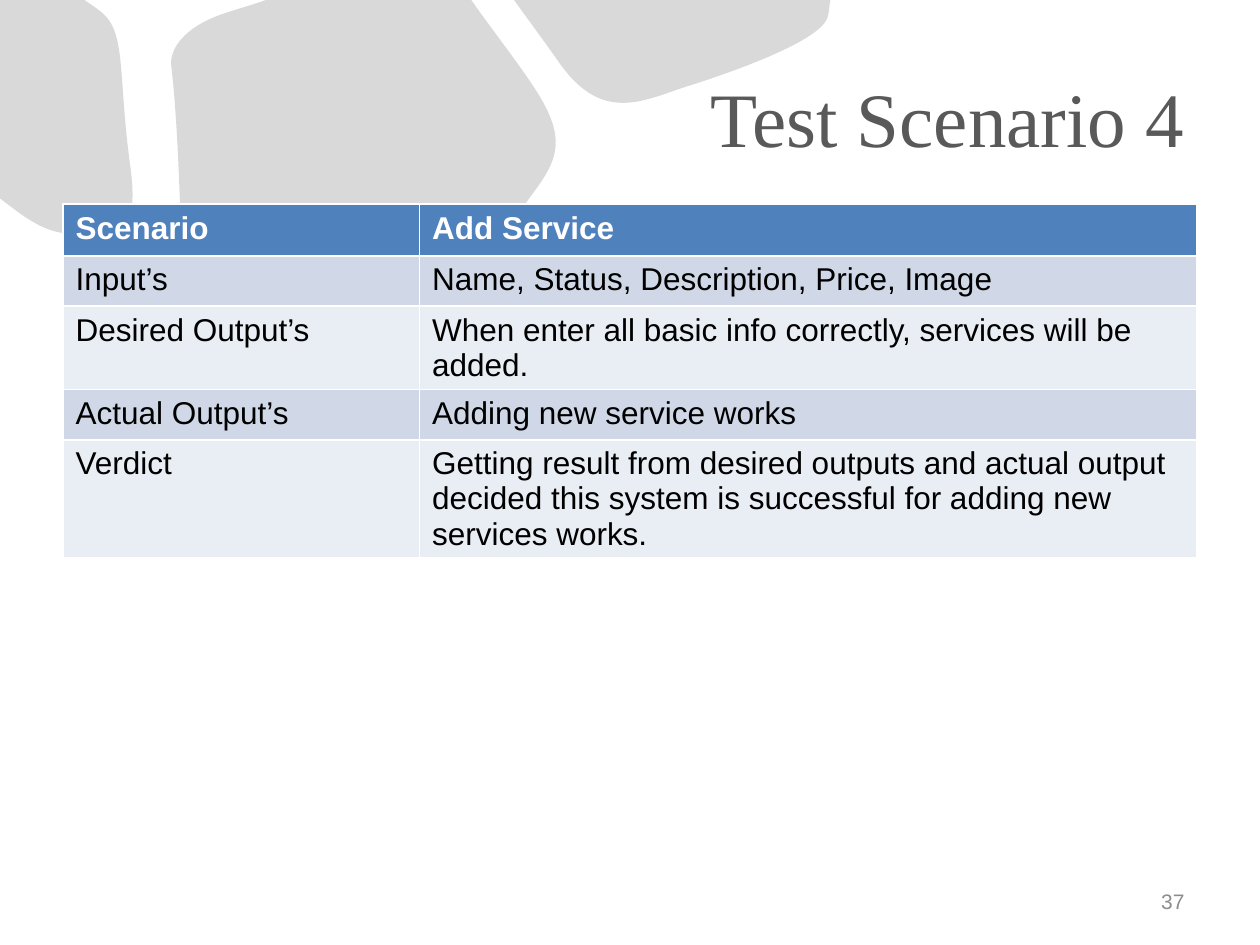
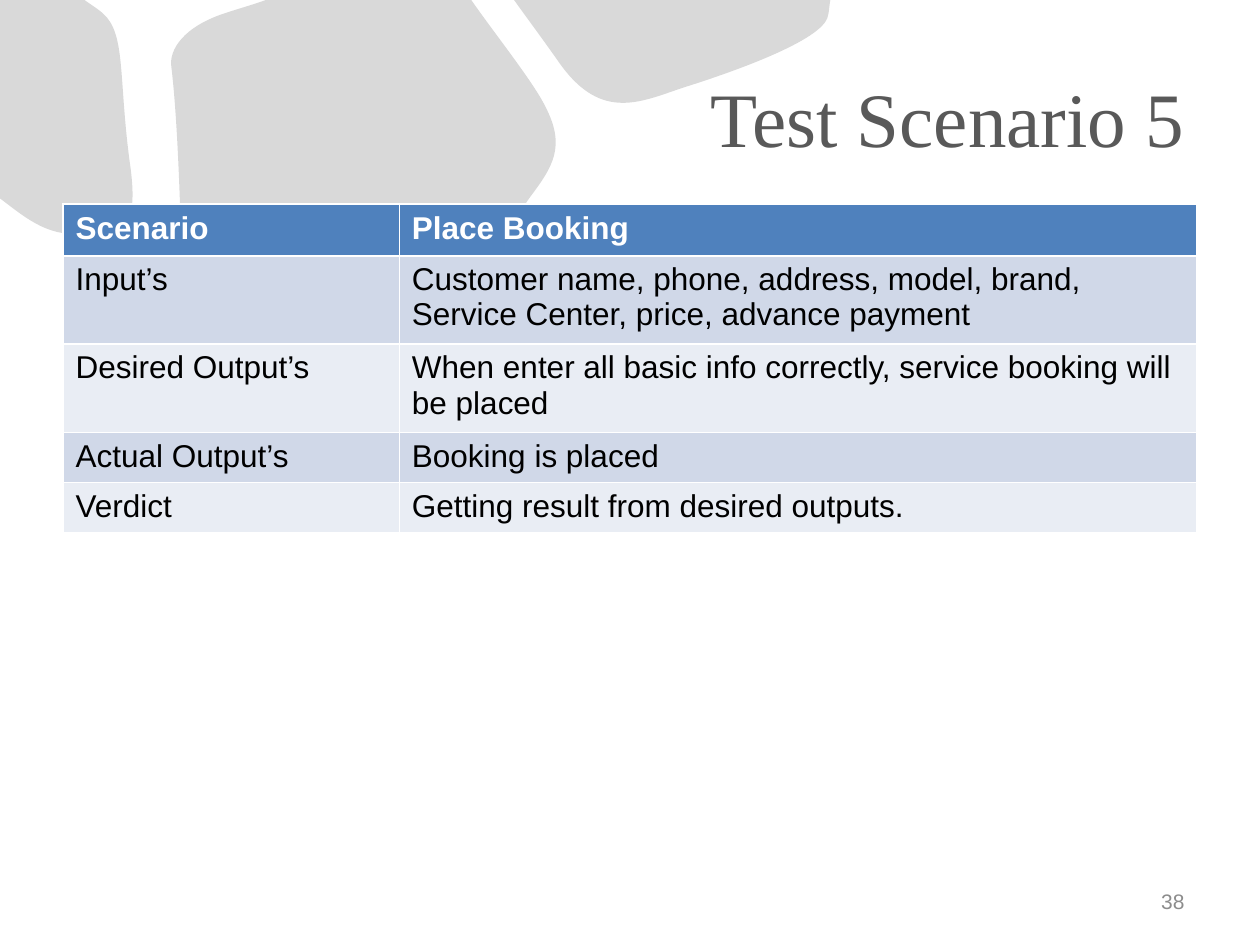
from lxml.etree import SubElement
from pptx import Presentation
from pptx.dml.color import RGBColor
from pptx.enum.text import MSO_ANCHOR, PP_ALIGN
from pptx.oxml.ns import qn
from pptx.util import Emu, Pt

PX = 9144  # EMU in one px, 100 px to the inch

# Pebbles: a start point, then lines (x, y) and curves (x1, y1, x2, y2, x, y)
PEBBLES = [
    [(408, 0), (418, 14, 430, 30, 444, 50), (478, 98, 510, 80, 544, 69),
     (582, 57, 653, 32, 657, 13), (658, 10, 658, 6, 659, 0)],
    [(82, 11), (79, 8, 74, 5, 67, 0), (-2, 0), (-2, 156),
     (17, 170, 37, 189, 65, 185), (87, 182, 113, 197, 103, 129),
     (94, 62, 100, 27, 82, 11)],
    [(374, 0), (211, 0), (200, 4, 189, 7, 180, 10),
     (145, 21, 134, 40, 136, 53), (140, 86, 142, 137, 143, 166),
     (144, 191, 165, 201, 185, 211), (202, 220, 278, 254, 296, 262),
     (296, 262, 334, 285, 355, 254), (377, 222, 402, 183, 421, 156),
     (439, 132, 449, 116, 433, 85), (424, 66, 392, 26, 374, 0)],
]

ROW_LABELS = ["Scenario", "Input’s", "Desired Output’s", "Actual Output’s", "Verdict"]

# Row heights for a header and for one, two and three lines of text
HEADER_ROW, ONE, TWO, THREE = 41, 40, 66, 94

# Title, page number, width of the label column, values with row heights
SCENARIOS = [
    ("Test Scenario 4", "37", 283, [
        ("Add Service", HEADER_ROW),
        ("Name, Status, Description, Price, Image", ONE),
        ("When enter all basic info correctly, services will be added.", TWO),
        ("Adding new service works", ONE),
        ("Getting result from desired outputs and actual output decided "
         "this system is successful for adding new services works.", THREE),
    ]),
    ("Test Scenario 5", "38", 267, [
        ("Place Booking", HEADER_ROW),
        ("Customer name, phone, address, model, brand, Service Center, "
         "price, advance payment", TWO),
        ("When enter all basic info correctly, service booking will be placed", TWO),
        ("Booking is placed", ONE),
        ("Getting result from desired outputs.", ONE),
    ]),
]


def px(n):
    return Emu(n * PX)


def rgb(color):
    return RGBColor.from_string(color)


def write(tf, text, size=18, font="Arial", color="000000", bold=False,
          align=PP_ALIGN.LEFT):
    p = tf.paragraphs[0]
    p.alignment = align
    r = p.add_run()
    r.text = text
    r.font.size = Pt(size)
    r.font.name = font
    r.font.bold = bold
    r.font.color.rgb = rgb(color)


def bend(sp, segments):
    """Join the three lines drawn for each curve into one cubic curve."""
    lines = iter(list(sp._element.iter(qn("a:lnTo"))))
    for seg in segments:
        first = next(lines)
        if len(seg) == 6:
            outline = first.getparent()
            curve = SubElement(outline, qn("a:cubicBezTo"))
            outline.replace(first, curve)
            for line in (first, next(lines), next(lines)):
                curve.append(line[0])
                if line is not first:
                    outline.remove(line)


class Deck:
    PEBBLE = "D9D9D9"
    TITLE = "595959"
    NUMBER = "8C8C8C"
    HEADER = "4F81BD"
    BANDS = ("E9EDF4", "D0D8E8")
    WHITE = "FFFFFF"
    BLACK = "000000"

    def __init__(self):
        self.prs = Presentation()
        self.prs.slide_width, self.prs.slide_height = px(1000), px(750)
        self.s = None

    def new_slide(self):
        self.s = self.prs.slides.add_slide(self.prs.slide_layouts[6])
        for start, *segments in PEBBLES:
            self.pebble(start, segments)

    def pebble(self, start, segments):
        points = [(px(seg[i]), px(seg[i + 1]))
                  for seg in segments for i in range(0, len(seg), 2)]
        builder = self.s.shapes.build_freeform(px(start[0]), px(start[1]))
        builder.add_line_segments(points)
        sp = builder.convert_to_shape()
        bend(sp, segments)
        sp.shadow.inherit = False
        sp.fill.solid()
        sp.fill.fore_color.rgb = rgb(self.PEBBLE)
        sp.line.fill.background()

    def text(self, text, x, y, w, h, **style):
        tf = self.s.shapes.add_textbox(px(x), px(y), px(w), px(h)).text_frame
        tf.word_wrap = True
        tf.vertical_anchor = MSO_ANCHOR.MIDDLE
        write(tf, text, align=PP_ALIGN.RIGHT, **style)

    def title(self, text):
        self.text(text, 50, 30, 900, 125, size=44, font="Times New Roman", color=self.TITLE)

    def page_number(self, text):
        self.text(text, 717, 695, 233, 40, size=12, color=self.NUMBER)

    def table(self, values, label_width, x=50, y=162, w=900):
        height = sum(h for _, h in values)
        table = self.s.shapes.add_table(len(values), 2, px(x), px(y), px(w), px(height)).table
        table.columns[0].width = px(label_width)
        table.columns[1].width = px(w - label_width)
        for i, (label, (value, h)) in enumerate(zip(ROW_LABELS, values)):
            header = i == 0
            table.rows[i].height = px(h)
            for cell, text in zip(table.rows[i].cells, (label, value)):
                cell.fill.solid()
                cell.fill.fore_color.rgb = rgb(self.HEADER if header else self.BANDS[i % 2])
                write(cell.text_frame, text, bold=header,
                      color=self.WHITE if header else self.BLACK)


def main():
    deck = Deck()
    for title, number, label_width, values in SCENARIOS:
        deck.new_slide()
        deck.table(values, label_width)
        deck.title(title)
        deck.page_number(number)
    deck.prs.save("out.pptx")


if __name__ == "__main__":
    main()
